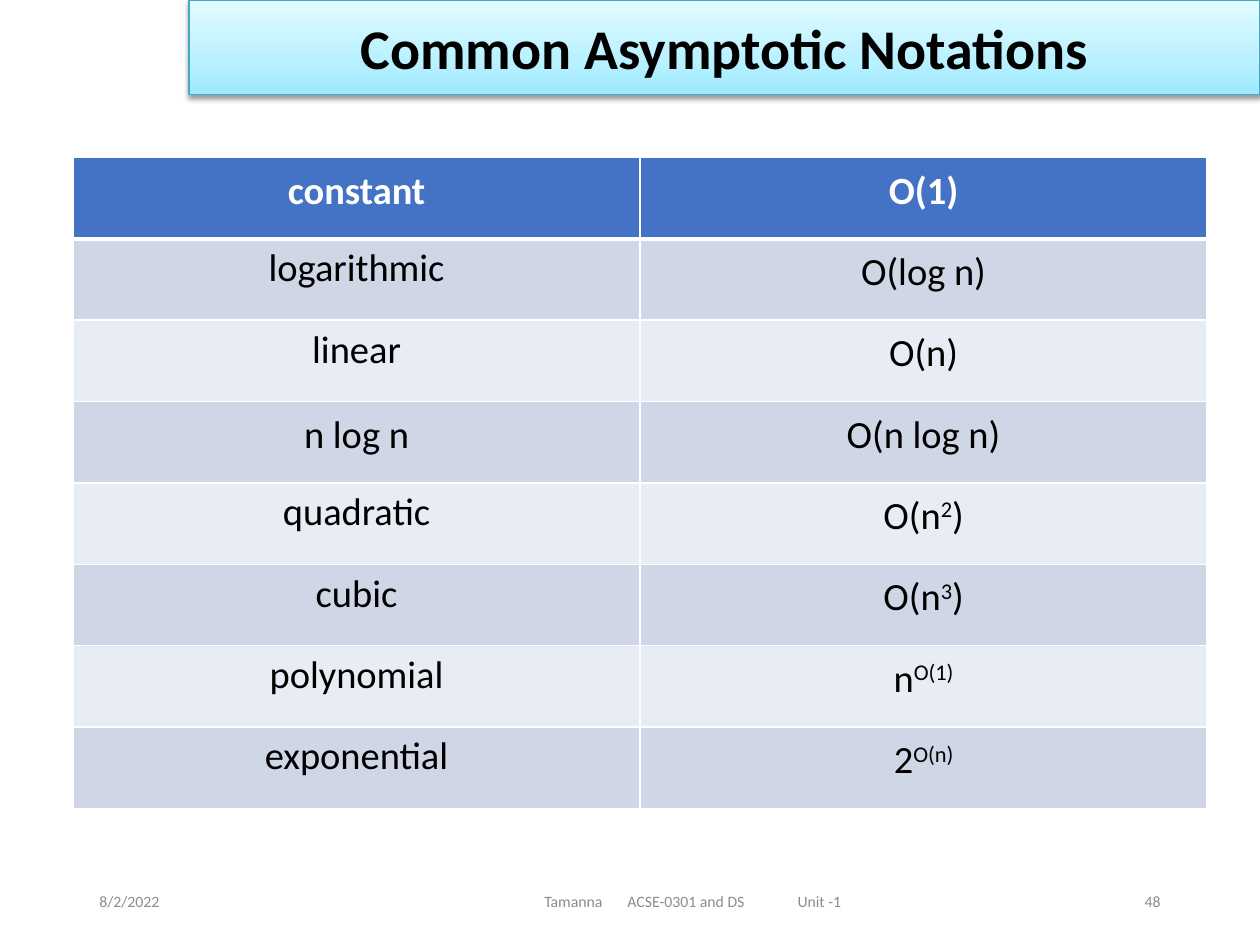
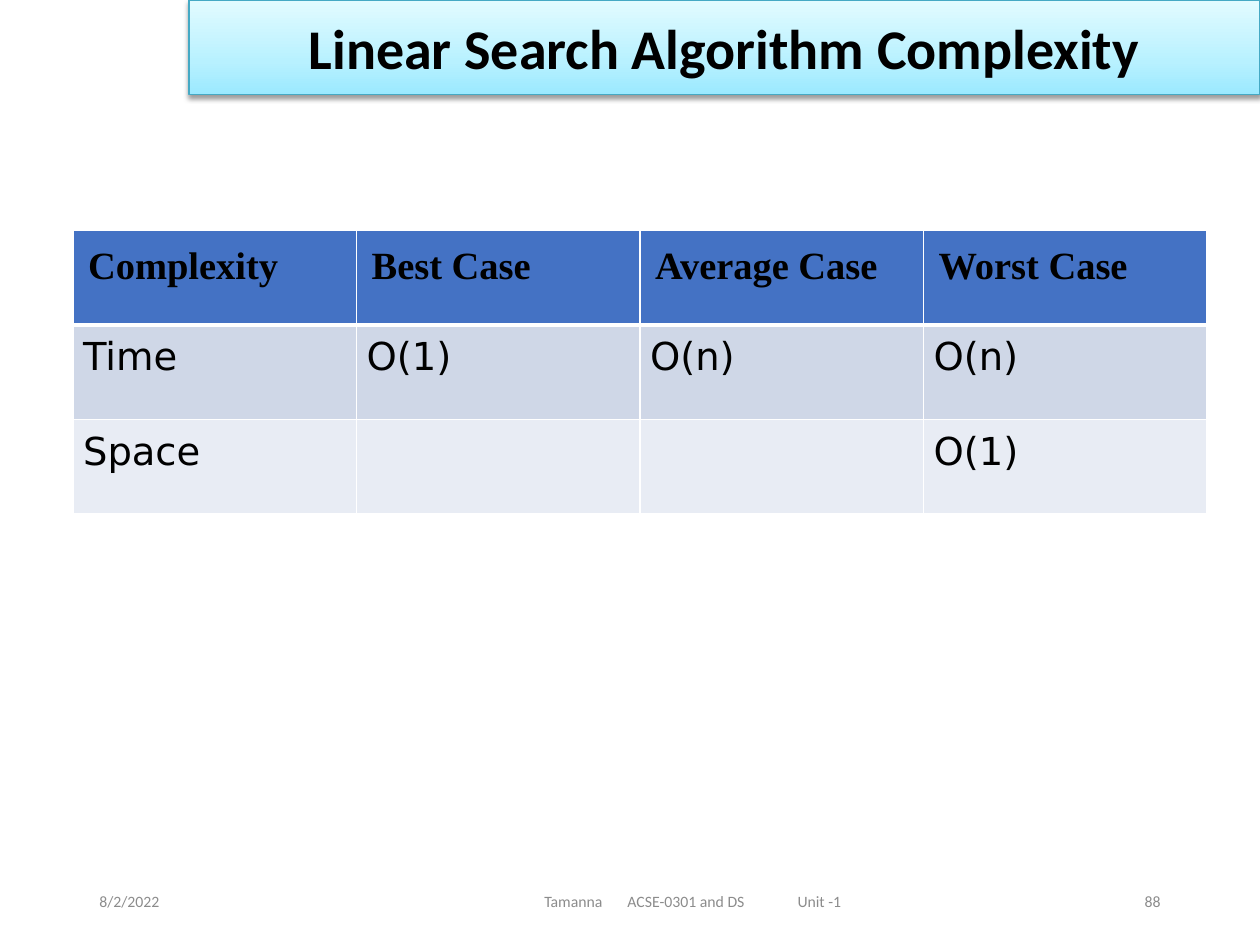
from dataclasses import dataclass

from pptx import Presentation
from pptx.dml.color import RGBColor
from pptx.enum.text import MSO_ANCHOR, MSO_AUTO_SIZE, PP_ALIGN
from pptx.oxml import parse_xml
from pptx.oxml.ns import nsdecls
from pptx.util import Inches, Pt

COLORS = {
    "black": "000000", "white": "FFFFFF", "footer": "8C8C8C",
    "header": "4472C4", "odd_row": "CFD7E7", "even_row": "E8ECF4",
    "band_bottom": "9BE9FF", "band_mid": "B8F1FF", "band_top": "E2FBFF",
    "band_line": "45A9C4",
}
DATE = "8/2/2022"
COURSE = "Tamanna\tACSE-0301 and DS\tUnit -1"
COURSE_TABS = (0.66, 2.01)
TABLE_LEFT, TABLE_WIDTH = 0.58, 9
FOOTER_TOP, FOOTER_HEIGHT = 6.95, 0.4
CELL_PAD = (0.08, 0.08)
WIDE_PAD = (0.1, 0.05)
HEADING_PAD = (0.12, 0.12)


@dataclass(frozen=True)
class Cell:
    text: str = ""
    pad: tuple[float, float] = CELL_PAD


@dataclass(frozen=True)
class TableSlide:
    title: str
    number: int
    top: float
    row_height: float
    rows: list[list[Cell]]
    header_font: str
    header_color: str
    body_font: str
    align: PP_ALIGN


def rgb(name: str) -> RGBColor:
    return RGBColor.from_string(COLORS[name])


def write(tf, text: str, *, size: float, font: str = "Calibri", color: str = "black",
          bold: bool = False, align: PP_ALIGN = PP_ALIGN.LEFT,
          tabs: tuple[float, ...] = ()) -> None:
    """Fill the first paragraph; text between ^ marks is superscript."""
    p = tf.paragraphs[0]
    p.alignment = align
    if tabs:
        stops = "".join(f'<a:tab pos="{Inches(t)}" algn="l"/>' for t in tabs)
        p._p.get_or_add_pPr().append(
            parse_xml(f'<a:tabLst {nsdecls("a")}>{stops}</a:tabLst>'))
    for i, part in enumerate(text.split("^")):
        if not part:
            continue
        r = p.add_run()
        r.text = part
        r.font.size = Pt(size)
        r.font.name = font
        r.font.bold = bold
        r.font.color.rgb = rgb(color)
        if i % 2:
            r._r.get_or_add_rPr().set("baseline", "30000")


def set_margins(box, x: float, y: float) -> None:
    box.margin_left = box.margin_right = Inches(x)
    box.margin_top = box.margin_bottom = Inches(y)


def format_title(sp, text: str) -> None:
    """Turn the title placeholder into the shaded band at the top."""
    sp.left, sp.top = Inches(1.5), Inches(0)
    sp.width, sp.height = Inches(8.5), Inches(0.75)
    stops = "".join(
        f'<a:gs pos="{pos * 1000}"><a:srgbClr val="{COLORS[name]}"/></a:gs>'
        for pos, name in ((0, "band_bottom"), (35, "band_mid"), (100, "band_top")))
    spPr = sp._element.spPr
    spPr.append(parse_xml(
        f'<a:prstGeom {nsdecls("a")} prst="rect"><a:avLst/></a:prstGeom>'))
    spPr.append(parse_xml(
        f'<a:gradFill {nsdecls("a")} rotWithShape="1"><a:gsLst>{stops}</a:gsLst>'
        '<a:lin ang="16200000" scaled="0"/></a:gradFill>'))
    sp.line.color.rgb = rgb("band_line")
    sp.line.width = Pt(0.75)
    spPr.append(parse_xml(
        f'<a:effectLst {nsdecls("a")}><a:outerShdw blurRad="{Pt(3.1)}" '
        f'dist="{Pt(1.6)}" dir="5400000" rotWithShape="0">'
        f'<a:srgbClr val="{COLORS["black"]}"><a:alpha val="38000"/></a:srgbClr>'
        '</a:outerShdw></a:effectLst>'))
    tf = sp.text_frame
    tf.auto_size = MSO_AUTO_SIZE.NONE
    tf.word_wrap = True
    tf.vertical_anchor = MSO_ANCHOR.MIDDLE
    set_margins(tf, *WIDE_PAD)
    write(tf, text, size=32, bold=True, align=PP_ALIGN.CENTER)


def add_footer_text(s, text: str, left: float, width: float, *, indent: float = 0.1,
                    **fmt) -> None:
    box = s.shapes.add_textbox(Inches(left), Inches(FOOTER_TOP),
                               Inches(width), Inches(FOOTER_HEIGHT))
    tf = box.text_frame
    tf.word_wrap = True
    tf.vertical_anchor = MSO_ANCHOR.MIDDLE
    set_margins(tf, *WIDE_PAD)
    tf.margin_left = Inches(indent)
    write(tf, text, size=9, color="footer", **fmt)


def set_borders(cell, top: float, bottom: float) -> None:
    tcPr = cell._tc.get_or_add_tcPr()
    for side, width in (("L", 1), ("R", 1), ("T", top), ("B", bottom)):
        tcPr.append(parse_xml(
            f'<a:ln{side} {nsdecls("a")} w="{Pt(width)}"><a:solidFill>'
            f'<a:srgbClr val="{COLORS["white"]}"/></a:solidFill></a:ln{side}>'))


def add_complexity_table(s, spec: TableSlide) -> None:
    n_rows, n_cols = len(spec.rows), len(spec.rows[0])
    table = s.shapes.add_table(
        n_rows, n_cols, Inches(TABLE_LEFT), Inches(spec.top),
        Inches(TABLE_WIDTH), Inches(spec.row_height * n_rows)).table
    for i, row in enumerate(spec.rows):
        header = i == 0
        fill = "header" if header else "odd_row" if i % 2 else "even_row"
        for j, item in enumerate(row):
            cell = table.cell(i, j)
            set_borders(cell, top=3 if i == 1 else 1, bottom=3 if header else 1)
            cell.fill.solid()
            cell.fill.fore_color.rgb = rgb(fill)
            set_margins(cell, *item.pad)
            write(cell.text_frame, item.text, size=22, bold=header, align=spec.align,
                  font=spec.header_font if header else spec.body_font,
                  color=spec.header_color if header else "black")


def add_table_slide(prs, spec: TableSlide) -> None:
    s = prs.slides.add_slide(prs.slide_layouts[5])
    format_title(s.shapes.title, spec.title)
    add_complexity_table(s, spec)
    add_footer_text(s, DATE, 0.69, 2.25)
    add_footer_text(s, COURSE, 2.75, 5.5, indent=1.57, tabs=COURSE_TABS)
    add_footer_text(s, str(spec.number), 7.06, 2.25, align=PP_ALIGN.RIGHT)


NOTATIONS = TableSlide(
    "Common Asymptotic Notations", 48, top=1.25, row_height=0.646,
    rows=[
        [Cell("constant"), Cell("Ο(1)")],
        [Cell("logarithmic", WIDE_PAD), Cell("Ο(log n)")],
        [Cell("linear", WIDE_PAD), Cell("Ο(n)")],
        [Cell("n log n"), Cell("Ο(n log n)")],
        [Cell("quadratic", WIDE_PAD), Cell("Ο(n^2^)")],
        [Cell("cubic", WIDE_PAD), Cell("Ο(n^3^)")],
        [Cell("polynomial", WIDE_PAD), Cell("n^Ο(1)^")],
        [Cell("exponential", WIDE_PAD), Cell("2^Ο(n)^")],
    ],
    header_font="Calibri", header_color="white", body_font="Calibri",
    align=PP_ALIGN.CENTER)

LINEAR_SEARCH = TableSlide(
    "Linear Search Algorithm Complexity", 88, top=1.83, row_height=0.75,
    rows=[
        [Cell(text, HEADING_PAD)
         for text in ("Complexity", "Best Case", "Average Case", "Worst Case")],
        [Cell(text) for text in ("Time", "O(1)", "O(n)", "O(n)")],
        [Cell(text) for text in ("Space", "", "", "O(1)")],
    ],
    header_font="Times New Roman", header_color="black", body_font="DejaVu Sans",
    align=PP_ALIGN.LEFT)


def main() -> None:
    prs = Presentation()
    prs.slide_width, prs.slide_height = Inches(10), Inches(7.5)
    for spec in (NOTATIONS, LINEAR_SEARCH):
        add_table_slide(prs, spec)
    prs.save("out.pptx")


if __name__ == "__main__":
    main()
